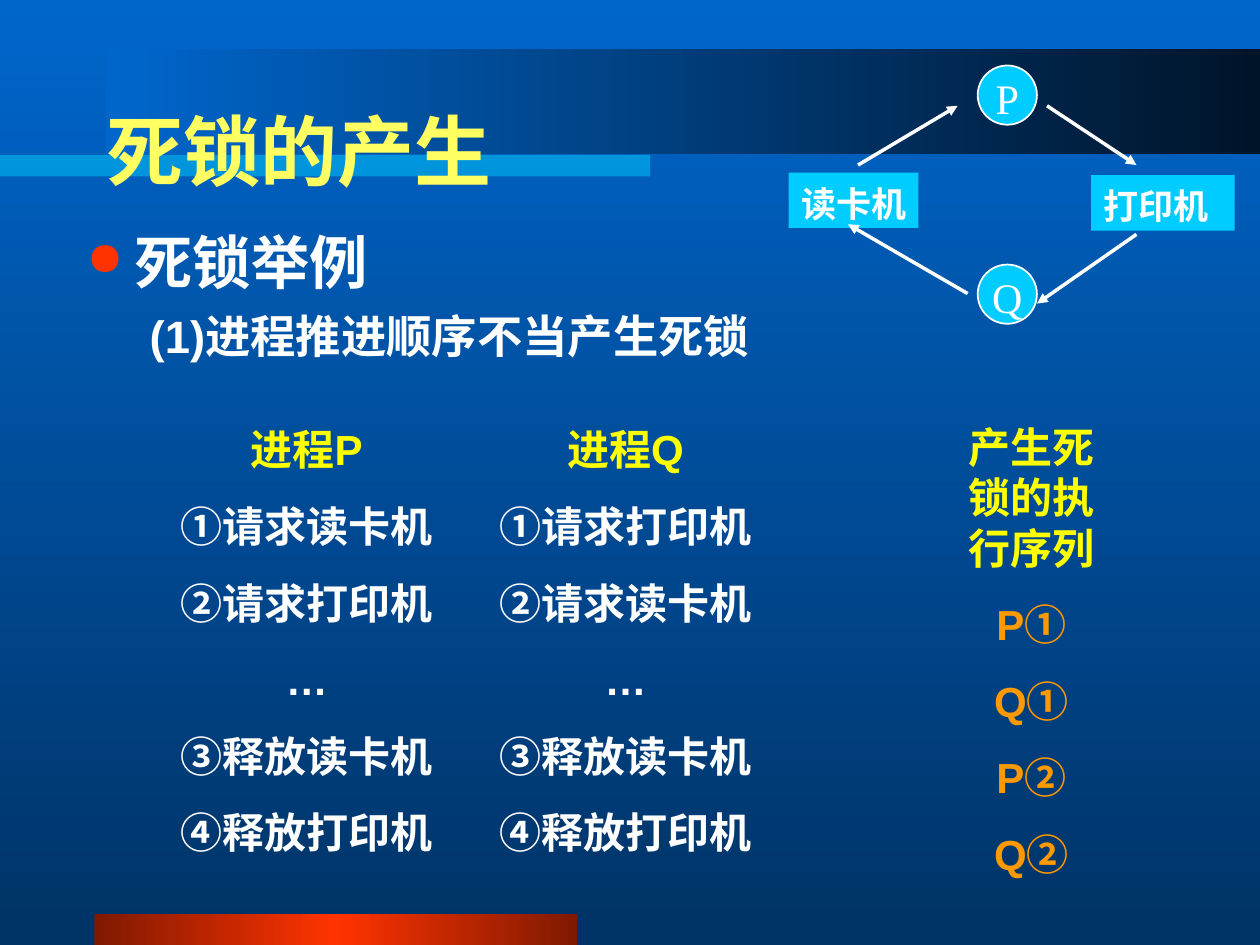
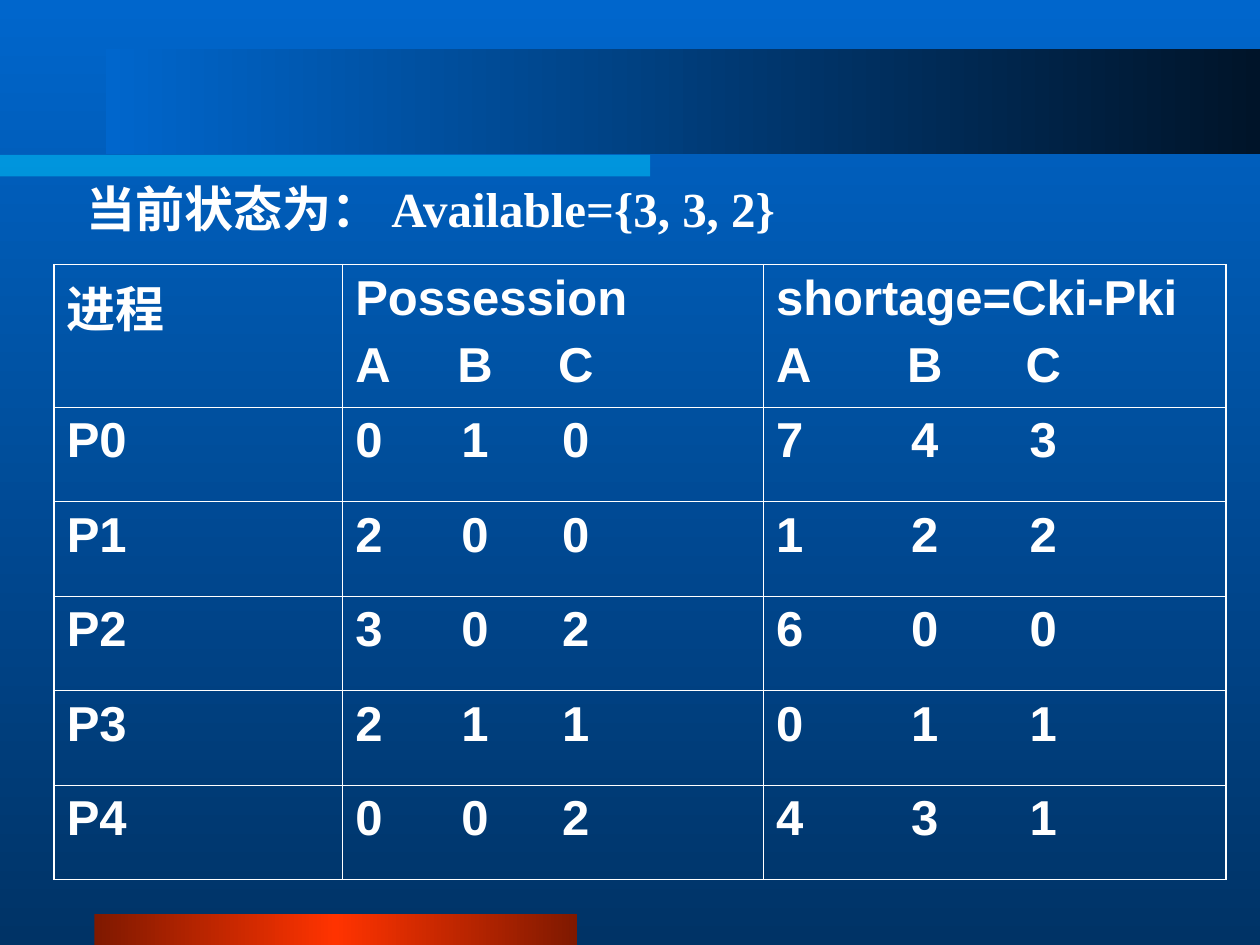
"""Build two slides on deadlock: an example with two processes and a resource state table."""
from copy import deepcopy
from itertools import groupby
from lxml.etree import SubElement
from pptx import Presentation
from pptx.dml.color import RGBColor
from pptx.enum.shapes import MSO_CONNECTOR, MSO_SHAPE
from pptx.enum.text import MSO_ANCHOR, PP_ALIGN
from pptx.oxml import parse_xml
from pptx.oxml.ns import nsdecls, qn
from pptx.util import Inches, Pt

rgb = RGBColor.from_string
SANS, SERIF, CJK = "Arial", "Times New Roman", "Noto Sans CJK SC"
WHITE, YELLOW, ORANGE, CYAN, RED = "FFFFFF", "FFFF00", "FF9900", "00CCFF", "FF3300"

prs = Presentation()
prs.slide_width, prs.slide_height = Inches(10), Inches(7.5)
COL, ROW = prs.slide_width / 10, prs.slide_height / 7.5


def box(x, y, w, h):
    """Turn grid columns and rows into slide lengths."""
    return int(x * COL), int(y * ROW), int(w * COL), int(h * ROW)


def write(tf, lines, size, name=SANS, bold=True, para={}, before=0, tabs=(), even=True):
    """Write (text, colour) lines, with circled numbers in the CJK font."""
    for i, (text, color) in enumerate(lines):
        p = tf.paragraphs[0] if i == 0 else tf.add_paragraph()
        if tabs:
            tab_list = SubElement(p._p.get_or_add_pPr(), qn("a:tabLst"))
            for pos in tabs:
                SubElement(tab_list, qn("a:tab"), pos=str(Inches(pos)), algn="ctr")
        for key, value in para.items():
            setattr(p, key, value)
        p.space_before = Pt(before if i else 0)
        if even:
            p.line_spacing = Pt(size * 1.2)
        for circled, chars in groupby(text, lambda ch: ch in "①②③④"):
            r = p.add_run()
            r.text = "".join(chars)
            fmt = {"size": Pt(size), "bold": bold, "name": CJK if circled else name}
            for key, value in fmt.items():
                setattr(r.font, key, value)
            r.font.color.rgb = rgb(color)
            SubElement(r.font._element, qn("a:ea"), typeface=SANS if text == "…" else CJK)
    if even:
        tf.margin_top = Inches(0.05) + Pt(size * 0.1)


slides = [prs.slides.add_slide(prs.slide_layouts[6]) for _ in range(2)]
bands = [
    ((0.75, 7.25, 3.83, 0.25), ["7F1900", RED, "7F1900"]),
    ((0.84, 0.39, 9.16, 0.83), ["0066CC", "001429"]),
    ((-0.01, 1.23, 5.17, 0.17), [CYAN]),
]
for s in slides:
    fill = s.background.fill
    fill.gradient()
    fill.gradient_angle = 270
    for stop, color in zip(fill.gradient_stops, ["0066CC", "003366"]):
        stop.color.rgb = rgb(color)
    for place, colors in bands:
        sp = s.shapes.add_shape(MSO_SHAPE.RECTANGLE, *box(*place))
        sp.shadow.inherit = False
        sp.line.fill.background()
        if len(colors) == 1:
            sp.fill.solid()
            sp.fill.fore_color.rgb = rgb(colors[0])
            clr = sp._element.spPr.find(".//" + qn("a:srgbClr"))
            SubElement(clr, qn("a:alpha"), val="50000")
            continue
        sp.fill.gradient()
        sp.fill.gradient_angle = 0
        if len(colors) == 3:
            first = sp._element.spPr.find(".//" + qn("a:gs"))
            middle = deepcopy(first)
            middle.set("pos", "50000")
            first.addnext(middle)
        for stop, color in zip(sp.fill.gradient_stops, colors):
            stop.color.rgb = rgb(color)

example, state = slides

tf = example.shapes.add_textbox(*box(0.75, 0.53, 8.5, 1.25)).text_frame
tf.word_wrap = True
tf.vertical_anchor = MSO_ANCHOR.MIDDLE
write(tf, [("死锁的产生", "FFFF61")], 44, SERIF)

tf = example.shapes.add_textbox(*box(0.59, 1.7, 8.5, 1.17)).text_frame
tf.word_wrap = True
pPr = tf.paragraphs[0]._p.get_or_add_pPr()
pPr.set("marL", str(Inches(0.38)))
pPr.set("indent", str(Inches(-0.38)))
SubElement(SubElement(pPr, qn("a:buClr")), qn("a:srgbClr"), val=RED)
SubElement(pPr, qn("a:buSzPct"), val="80000")
SubElement(pPr, qn("a:buChar"), char="●")
write(tf, [("死锁举例", WHITE)], 33.3)
p = tf.add_paragraph()
pPr = p._p.get_or_add_pPr()
pPr.set("marL", str(Inches(0.81)))
pPr.set("indent", str(Inches(-0.31)))
p.space_before, p.line_spacing = Pt(7), Pt(31)
r = p.add_run()
r.text = "(1)进程推进顺序不当产生死锁"
for key, value in {"size": Pt(25.9), "bold": True, "name": SANS}.items():
    setattr(r.font, key, value)
r.font.color.rgb = rgb(WHITE)
SubElement(r.font._element, qn("a:ea"), typeface=CJK)

release = ["…", "③释放读卡机", "④释放打印机"]
columns = [
    ((0.9, 3.28, 3.07, 3.54), WHITE, ["进程P", "①请求读卡机", "②请求打印机"] + release),
    ((3.43, 3.28, 3.07, 3.54), WHITE, ["进程Q", "①请求打印机", "②请求读卡机"] + release),
    ((7.44, 3.26, 1.49, 3.74), ORANGE, ["产生死锁的执行序列", "P①", "Q①", "P②", "Q②"]),
]
for place, color, (head, *steps) in columns:
    tf = example.shapes.add_textbox(*box(*place)).text_frame
    tf.word_wrap = True
    lines = [(head, YELLOW)] + [(step, color) for step in steps]
    write(tf, lines, 24, para={"alignment": PP_ALIGN.CENTER}, before=15)

nodes = [
    ("P", MSO_SHAPE.OVAL, (7.76, 0.52, 0.47, 0.47)),
    ("Q", MSO_SHAPE.OVAL, (7.76, 2.1, 0.47, 0.47)),
    ("读卡机", MSO_SHAPE.RECTANGLE, (6.26, 1.37, 1.03, 0.44)),
    ("打印机", MSO_SHAPE.RECTANGLE, (8.66, 1.39, 1.14, 0.44)),
]
for text, kind, place in nodes:
    sp = example.shapes.add_shape(kind, *box(*place))
    sp.shadow.inherit = False
    sp.fill.solid()
    sp.fill.fore_color.rgb = rgb(CYAN)
    process = kind == MSO_SHAPE.OVAL
    if process:
        sp.line.color.rgb, sp.line.width = rgb(WHITE), Pt(1)
    else:
        sp.line.fill.background()
    tf = sp.text_frame
    tf.word_wrap = False
    tf.vertical_anchor = MSO_ANCHOR.MIDDLE if process else MSO_ANCHOR.TOP
    align = PP_ALIGN.CENTER if process else PP_ALIGN.LEFT
    write(tf, [(text, WHITE)], 24 if process else 20, SERIF, not process, {"alignment": align})

arrows = [
    (8.31, 0.84, 9.02, 1.31),
    (9.02, 1.86, 8.23, 2.41),
    (7.68, 2.33, 6.73, 1.78),
    (6.81, 1.31, 7.6, 0.84),
]
for ends in arrows:
    cx = example.shapes.add_connector(MSO_CONNECTOR.STRAIGHT, *box(*ends))
    cx.line.color.rgb, cx.line.width = rgb(WHITE), Pt(2)
    SubElement(cx.line._get_or_add_ln(), qn("a:tailEnd"), type="triangle")
    SubElement(cx._element.spPr, qn("a:effectLst"))

rows = [("P0", "010", "743"), ("P1", "200", "122"), ("P2", "302", "600"),
        ("P3", "211", "011"), ("P4", "002", "431")]
cells = [[["进程"], ["Possession", "A\tB\tC"], ["shortage=Cki-Pki", "A\tB\tC"]]]
cells += [[[name], ["\t".join(held)], ["\t".join(short)]] for name, held, short in rows]
table = state.shapes.add_table(6, 3, *box(0.43, 2.1, 9.3, 4.88)).table
table.first_row = table.horz_banding = False
for column, width in zip(table.columns, [2.29, 3.34, 3.67]):
    column.width = int(width * COL)
for row, height in zip(table.rows, [1.13] + [0.75] * 5):
    row.height = int(height * ROW)
tab_stops = [(), (0.95, 1.75), (1.18, 2.12)]
for i, row in enumerate(cells):
    for j, texts in enumerate(row):
        cell = table.cell(i, j)
        cell.fill.background()
        outer = {"L": j == 0, "R": j == 2, "T": i == 0, "B": i == 5}
        for k, (side, edge) in enumerate(outer.items()):
            width = Pt(1.08 if edge else 0.45)
            cell._tc.get_or_add_tcPr().insert(k, parse_xml(
                f'<a:ln{side} {nsdecls("a")} w="{width}"><a:solidFill>'
                f'<a:srgbClr val="{WHITE}"/></a:solidFill></a:ln{side}>'))
        lines = [(text, WHITE) for text in texts]
        write(cell.text_frame, lines, 28, before=7, tabs=tab_stops[j], even=False)

tf = state.shapes.add_textbox(*box(0.59, 1.33, 8.03, 0.57)).text_frame
tf.word_wrap = True
write(tf, [("当前状态为： Available={3, 3, 2}", WHITE)], 28, SERIF)

prs.save("out.pptx")
